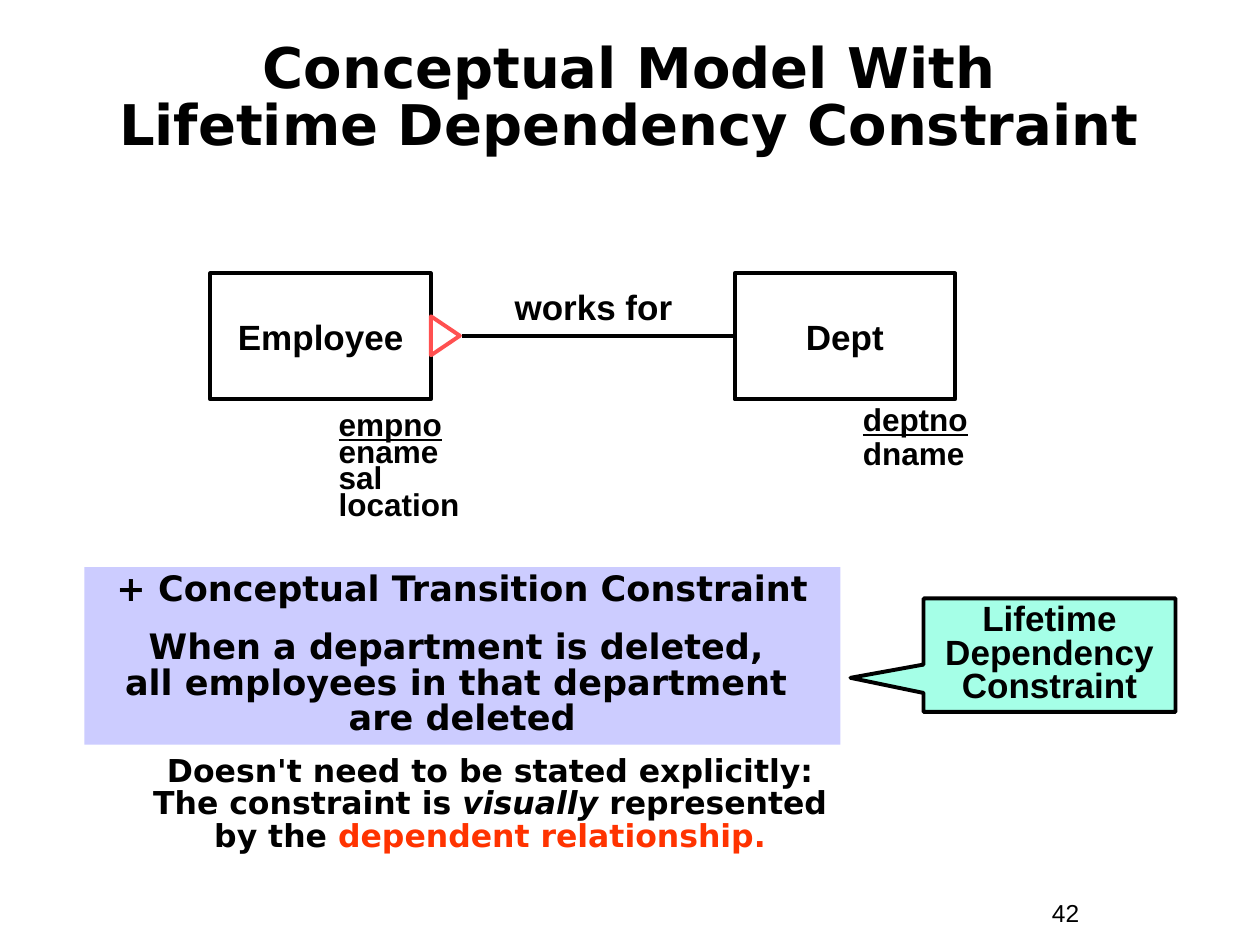
from dataclasses import dataclass

from lxml.etree import SubElement
from pptx import Presentation
from pptx.dml.color import RGBColor
from pptx.enum.shapes import MSO_CONNECTOR, MSO_SHAPE
from pptx.enum.text import MSO_ANCHOR, PP_ALIGN
from pptx.oxml.ns import qn
from pptx.util import Inches, Pt


@dataclass(frozen=True)
class Theme:
    black: str = "000000"
    lavender: str = "CCCCFF"
    mint: str = "A5FFE7"
    crow_foot: str = "FF5050"
    accent: str = "FF3300"
    sans: str = "Arial"
    display: str = "DejaVu Sans"
    title: int = 32
    label: int = 20
    body: int = 18
    number: int = 14
    line: float = 2.25


T = Theme()


def set_text(sp, lines, size, font=T.sans, align=PP_ALIGN.CENTER, spacing=1.0,
             anchor=MSO_ANCHOR.TOP, wrap=True, bold=True):
    tf = sp.text_frame
    tf.word_wrap = wrap
    tf.vertical_anchor = anchor
    for i, line in enumerate(lines):
        p = tf.add_paragraph() if i else tf.paragraphs[0]
        p.text = line
        p.alignment = align
        p.line_spacing = spacing
        for r in p.runs:
            r.font.name = font
            r.font.size = Pt(size)
            r.font.bold = bold
            r.font.color.rgb = RGBColor.from_string(T.black)
    return tf


def add_box(kind, left, top, width, height, fill=None, line=None):
    sp = s.shapes.add_shape(kind, Inches(left), Inches(top), Inches(width), Inches(height))
    sp.shadow.inherit = False
    if fill:
        sp.fill.solid()
        sp.fill.fore_color.rgb = RGBColor.from_string(fill)
    else:
        sp.fill.background()
    if line:
        sp.line.color.rgb = RGBColor.from_string(line)
        sp.line.width = Pt(T.line)
    else:
        sp.line.fill.background()
    return sp


prs = Presentation()
prs.slide_width, prs.slide_height = Inches(10), Inches(7.5)
s = prs.slides.add_slide(prs.slide_layouts[6])

# Title and slide number
title = s.shapes.add_textbox(Inches(0.33), Inches(0.33), Inches(9.33), Inches(0.92))
set_text(title, ["Conceptual Model With\vLifetime Dependency Constraint"], T.title,
         T.display, spacing=0.85, anchor=MSO_ANCHOR.MIDDLE)
number = s.shapes.add_textbox(Inches(8.25), Inches(7.08), Inches(0.92), Inches(0.34))
set_text(number, ["42"], T.number, align=PP_ALIGN.LEFT, bold=False)

# Entities with their attributes, the key underlined
entities = [
    ("Dept", 5.83, 3.16, 0.64, 0.9, ["deptno", "dname"]),
    ("Employee", 1.67, 3.25, 0.94, 0.7, ["empno", "ename", "sal", "location"]),
]
for name, left, top, height, spacing, attributes in entities:
    entity = add_box(MSO_SHAPE.RECTANGLE, left, 2.17, 1.75, 1, line=T.black)
    set_text(entity, [name], T.label, anchor=MSO_ANCHOR.MIDDLE, wrap=False)
    box = s.shapes.add_textbox(Inches(left + 0.92), Inches(top), Inches(1.17), Inches(height))
    tf = set_text(box, attributes, T.body, align=PP_ALIGN.LEFT, spacing=spacing)
    tf.paragraphs[0].runs[0].font.underline = True

# Relationship
link = s.shapes.add_connector(MSO_CONNECTOR.STRAIGHT, Inches(5.82), Inches(2.67),
                              Inches(3.67), Inches(2.67))
link.line.color.rgb = RGBColor.from_string(T.black)
link.line.width = Pt(T.line)
SubElement(link.element.spPr, qn("a:effectLst"))
role = s.shapes.add_textbox(Inches(3.92), Inches(2.22), Inches(1.58), Inches(0.44))
set_text(role, ["works for"], T.label)
foot = add_box(MSO_SHAPE.ISOSCELES_TRIANGLE, 3.38, 2.55, 0.31, 0.23, line=T.crow_foot)
foot.rotation = 90

# Transition constraint
rule = add_box(MSO_SHAPE.RECTANGLE, 0.67, 4.5, 6, 1.41, fill=T.lavender)
tf = set_text(rule, ["+ Conceptual Transition Constraint",
                     "When a department is deleted, \vall employees in that department \vare deleted"],
              T.label, T.display, spacing=0.85)
tf.paragraphs[1].space_before = Pt(12.5)

# Remark below the constraint
remark = s.shapes.add_textbox(Inches(1.03), Inches(5.96), Inches(5.72), Inches(0.87))
tf = set_text(remark, ["Doesn't need to be stated explicitly:\vThe constraint is "],
              T.body, T.display, spacing=0.85)
for text, italic, color in [("visually", True, T.black),
                            (" represented by the ", False, T.black),
                            ("dependent relationship.", False, T.accent)]:
    r = tf.paragraphs[0].add_run()
    r.text = text
    r.font.name = T.display
    r.font.size = Pt(T.body)
    r.font.bold = True
    r.font.italic = italic
    r.font.color.rgb = RGBColor.from_string(color)

# Callout
callout = add_box(MSO_SHAPE.RECTANGULAR_CALLOUT, 7.33, 4.75, 2, 0.9, T.mint, T.black)
callout.adjustments[0] = -0.79
callout.adjustments[1] = 0.2
set_text(callout, ["Lifetime\vDependency\vConstraint"], T.label, spacing=0.8)

prs.save("out.pptx")
